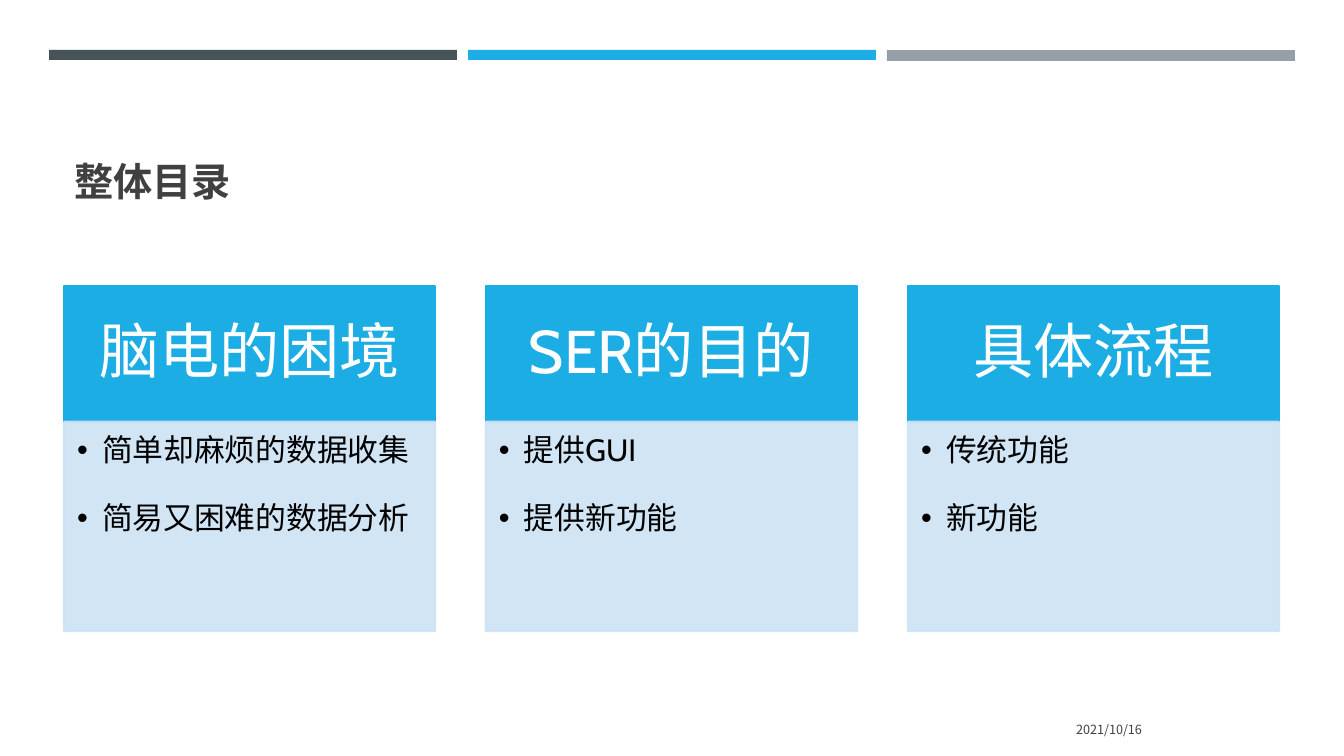
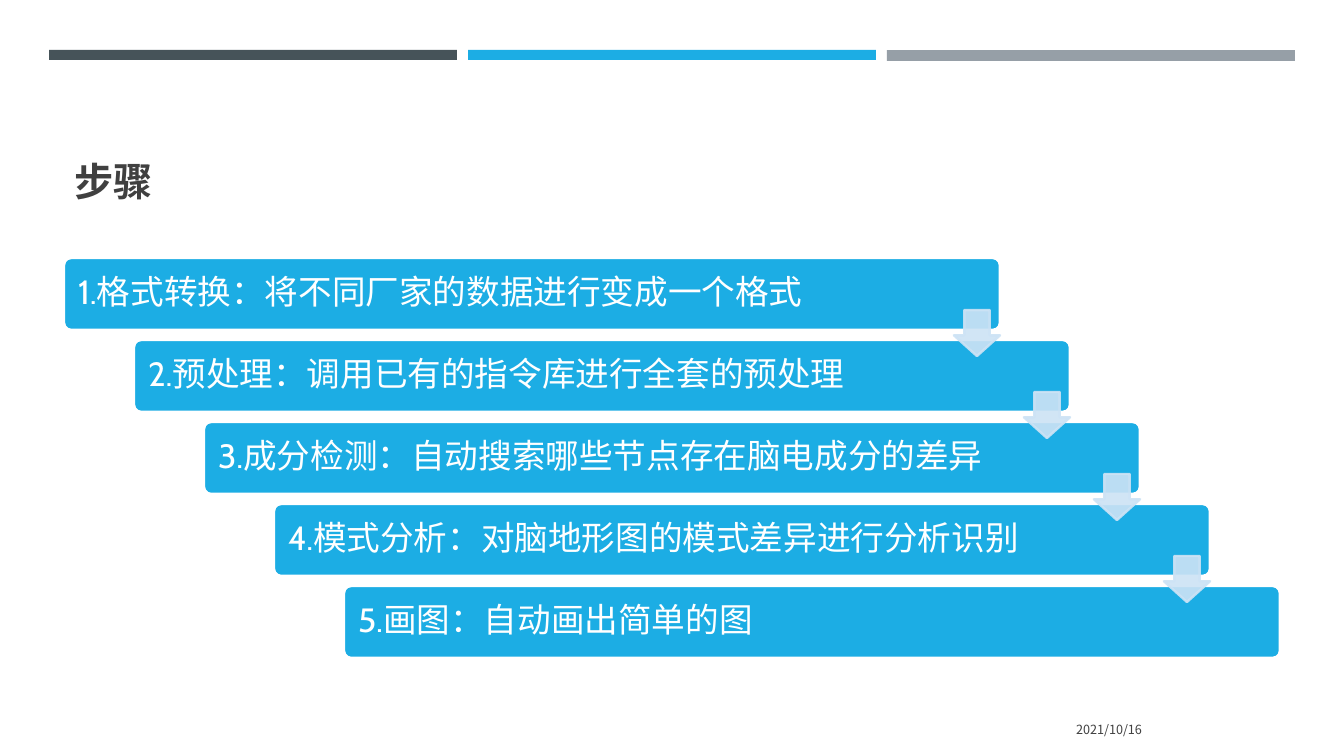
"""Build the two-slide deck on the EEG toolkit: contents and processing steps."""
from lxml.etree import SubElement
from pptx import Presentation
from pptx.dml.color import RGBColor
from pptx.enum.shapes import MSO_SHAPE as Preset
from pptx.enum.text import MSO_ANCHOR as Anchor, MSO_AUTO_SIZE as AutoSize, PP_ALIGN as Align
from pptx.oxml.ns import qn
from pptx.util import Emu, Pt

PX = 12192000 / 1344
DARK, BLUE, GREY, PALE = "465359", "1CADE4", "969FA7", "CDE3F5"
WHITE, BLACK, INK = "FFFFFF", "000000", "404040"
CJK, LATIN = "Noto Sans CJK SC", "Cabin"

TITLE = dict(size=28, name=CJK, color=INK, bold=True)
DATE = dict(size=9, name=CJK, color=INK)
HEADING = dict(size=43, name=LATIN, color=WHITE)
BULLET = dict(size=22, name=LATIN, color=BLACK)
STEP = dict(size=24, name=LATIN, color=WHITE)


def add_block(shapes, preset, box, fill, line=None, alpha=None):
    block = shapes.add_shape(preset, *(Emu(round(n * PX)) for n in box))
    block.shadow.inherit = False
    block.fill.solid()
    block.fill.fore_color.rgb = RGBColor.from_string(fill)
    if line:
        block.line.width = Pt(1.75)
        block.line.color.rgb = RGBColor.from_string(line)
    else:
        block.line.fill.background()
    if alpha:
        for color in block.element.spPr.iter(qn("a:srgbClr")):
            SubElement(color, qn("a:alpha"), val=str(alpha * 1000))
    return block


def write(shape, lines, style, anchor, align, insets=(10, 5, 10, 5), spacing=1.0, bullet=None):
    frame = shape.text_frame
    left, top, right, bottom = (Emu(round(n * PX)) for n in insets)
    layout_values = dict(word_wrap=True, auto_size=AutoSize.NONE, vertical_anchor=anchor,
                         margin_left=left, margin_top=top, margin_right=right, margin_bottom=bottom)
    for key, value in layout_values.items():
        setattr(frame, key, value)
    for i, line in enumerate(lines):
        paragraph = frame.add_paragraph() if i else frame.paragraphs[0]
        if bullet:
            indent = round(25 * PX)
            properties = paragraph._p.get_or_add_pPr()
            properties.set("marL", str(indent))
            properties.set("indent", str(-indent))
            SubElement(properties, qn("a:buFont"), typeface="Arial")
            SubElement(properties, qn("a:buChar"), char=bullet)
        paragraph.alignment = align
        paragraph.line_spacing = spacing
        paragraph.space_before = Pt(25 if i else 0)
        run = paragraph.add_run()
        run.text = line
        run.font.color.rgb = RGBColor.from_string(style["color"])
        for key, value in style.items():
            if key != "color":
                setattr(run.font, key, Pt(value) if key == "size" else value)
        SubElement(run._r.get_or_add_rPr(), qn("a:ea"), typeface=CJK)


deck = Presentation()
deck.slide_width, deck.slide_height = Emu(round(1344 * PX)), Emu(round(756 * PX))
layout = deck.slide_layouts[5]
for key, value in dict(left=64, top=78, width=1216, height=131).items():
    setattr(layout.placeholders[0], key, Emu(round(value * PX)))

contents, steps = (deck.slides.add_slide(layout) for _ in range(2))
for i, (color, height) in enumerate([(DARK, 10), (BLUE, 10), (GREY, 11)]):
    band = add_block(contents.shapes, Preset.RECTANGLE, (49 + 419 * i, 50, 408, height), color)
    layout.shapes.element.append(band.element)

for slide, heading in [(contents, "整体目录"), (steps, "步骤")]:
    write(slide.shapes.title, [heading], TITLE, Anchor.BOTTOM, Align.LEFT)
    date = slide.shapes.add_textbox(*(Emu(round(n * PX)) for n in (839, 709, 313, 40)))
    write(date, ["2021/10/16"], DATE, Anchor.MIDDLE, Align.RIGHT)

topics = [
    ("脑电的困境", ["简单却麻烦的数据收集", "简易又困难的数据分析"]),
    ("SER的目的", ["提供GUI", "提供新功能"]),
    ("具体流程", ["传统功能", "新功能"]),
]
for i, (topic, points) in enumerate(topics):
    left = 64 + 422 * i
    header = add_block(contents.shapes, Preset.RECTANGLE, (left, 286, 371, 136), BLUE, BLUE)
    write(header, [topic], HEADING, Anchor.MIDDLE, Align.CENTER, (33, 19, 33, 19), 0.9)
    panel = add_block(contents.shapes, Preset.RECTANGLE, (left, 422, 371, 209), PALE, PALE, 90)
    write(panel, points, BULLET, Anchor.TOP, Align.LEFT, (13, 13, 17, 19), 0.9, "•")

stages = [
    "1.格式转换：将不同厂家的数据进行变成一个格式",
    "2.预处理：调用已有的指令库进行全套的预处理",
    "3.成分检测：自动搜索哪些节点存在脑电成分的差异",
    "4.模式分析：对脑地形图的模式差异进行分析识别",
    "5.画图：自动画出简单的图",
]
for i, stage in enumerate(stages):
    bar = add_block(steps.shapes, Preset.ROUNDED_RECTANGLE,
                    (64 + 70 * i, 258 + 82 * i, 936, 72), BLUE, WHITE)
    bar.adjustments[0] = 0.1
    write(bar, [stage], STEP, Anchor.MIDDLE, Align.LEFT, (12, 12, 129, 12), 0.9)

for i in range(len(stages) - 1):
    arrow = add_block(steps.shapes, Preset.DOWN_ARROW,
                      (954 + 70 * i, 310 + 82 * i, 46, 46), PALE, PALE, 90)
    arrow.adjustments[0], arrow.adjustments[1] = 0.55, 0.45

deck.save("out.pptx")
